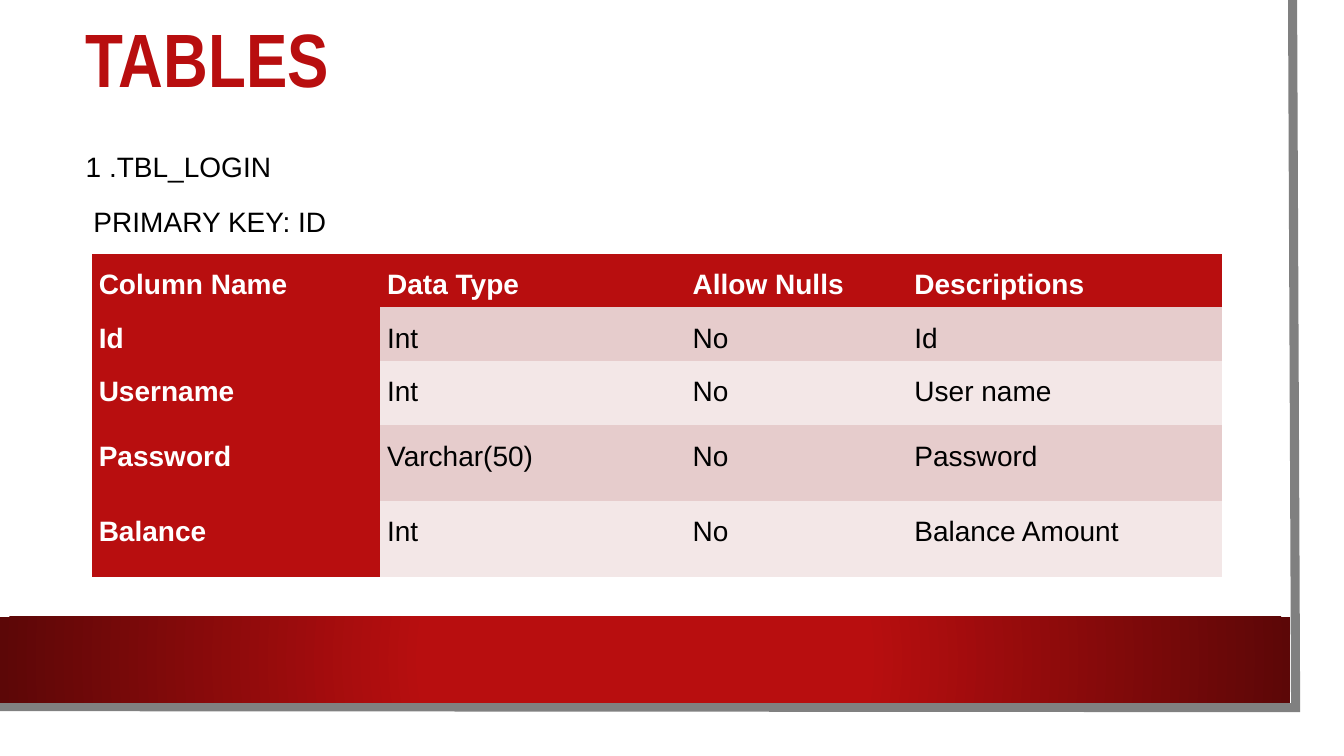
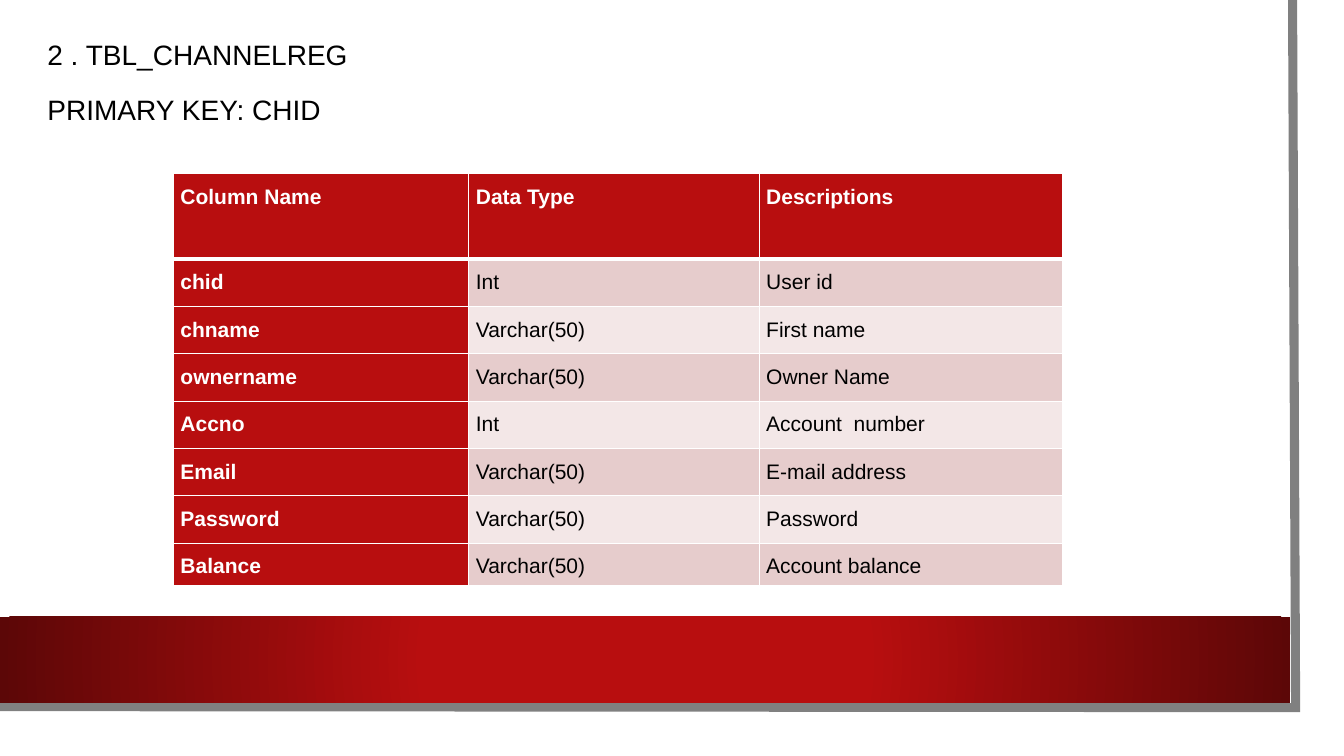
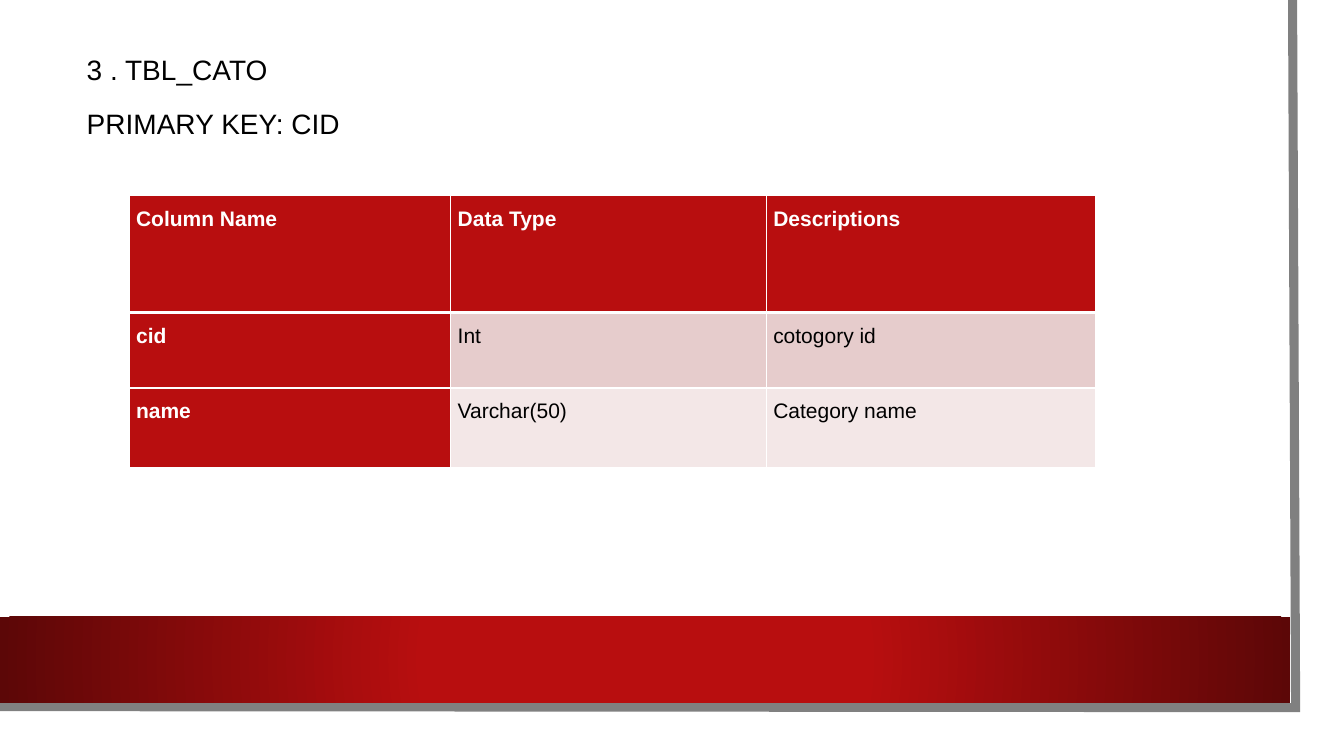
import pptx
import pptx.dml.color
import pptx.enum.shapes
import pptx.enum.text
import pptx.oxml
import pptx.oxml.ns
import pptx.util

Inches = pptx.util.Inches
Pt = pptx.util.Pt
ALIGN = pptx.enum.text.PP_ALIGN
ANCHOR = pptx.enum.text.MSO_ANCHOR

RED = "B80E0F"
DARK_RED = "5C0707"
WHITE = "FFFFFF"
BLACK = "000000"
GREY = "808080"
BANDS = ("E6CCCC", "F3E7E7")
PLAIN_TABLE = "{2D5ABB26-0587-4C30-8999-92F81FD0307C}"

LOGIN = [
    ("Column Name", "Data Type", "Allow Nulls", "Descriptions"),
    ("Id", "Int", "No", "Id "),
    ("Username", "Int", "No", "User name"),
    ("Password", "Varchar(50)", "No", "Password"),
    ("Balance", "Int", "No", "Balance Amount"),
]
CHANNELS = [
    ("Column Name", "Data Type", "Descriptions"),
    ("chid", "Int", "User id"),
    ("chname", "Varchar(50)", "First name"),
    ("ownername", "Varchar(50)", "Owner Name"),
    ("Accno", "Int", "Account  number"),
    ("Email", "Varchar(50)", "E-mail address"),
    ("Password", "Varchar(50)", "Password"),
    ("Balance", "Varchar(50)", "Account balance"),
]
CATEGORIES = [
    ("Column Name", "Data Type", "Descriptions"),
    ("cid", "Int", "cotogory id"),
    ("name", "Varchar(50)", "Category name"),
]


def color(value):
    return pptx.dml.color.RGBColor.from_string(value)


def xml(text):
    head, tail = text.split(" ", 1)
    return pptx.oxml.parse_xml(f"{head} {pptx.oxml.ns.nsdecls('a')} {tail}")


def style(paragraph, size, ink, bold=False, face="Arial"):
    for run in paragraph.runs:
        run.font.size = Pt(size)
        run.font.name = face
        run.font.bold = bold
        run.font.color.rgb = color(ink)


def place(shape, left, top, width, height):
    shape.left, shape.top = Inches(left), Inches(top)
    shape.width, shape.height = Inches(width), Inches(height)


def add_panel(slide, left, top, width, height):
    panel = slide.shapes.add_shape(
        pptx.enum.shapes.MSO_SHAPE.RECTANGLE,
        Inches(left), Inches(top), Inches(width), Inches(height))
    panel.shadow.inherit = False
    panel.fill.solid()
    panel.fill.fore_color.rgb = color(WHITE)
    panel.line.fill.background()
    return panel


def add_edge(slide):
    builder = slide.shapes.build_freeform(Inches(12.82), 0)
    corners = [(12.85, 7.02), (-0.03, 7.01)]
    builder.add_line_segments([(Inches(x), Inches(y)) for x, y in corners], close=False)
    edge = builder.convert_to_shape()
    edge.shadow.inherit = False
    edge.fill.background()
    edge.line.color.rgb = color(GREY)
    edge.line.width = Pt(6.5)
    edge.line._get_or_add_ln().append(xml('<a:miter lim="800000"/>'))
    return edge


def add_band(slide):
    band = add_panel(slide, 0, 6.12, 12.8, 0.85)
    stops = "".join(
        f'<a:gs pos="{pos}000"><a:srgbClr val="{value}"/></a:gs>'
        for pos, value in ((34, RED), (100, DARK_RED)))
    gradient = xml(
        f'<a:gradFill rotWithShape="1"><a:gsLst>{stops}</a:gsLst><a:path path="circle">'
        '<a:fillToRect l="50000" t="50000" r="50000" b="50000"/></a:path></a:gradFill>')
    properties = band.element.spPr
    properties.replace(properties.find(pptx.oxml.ns.qn("a:solidFill")), gradient)
    return band


def decorate_master(prs, slide):
    sheet = add_panel(slide, 0, 0, 13.1, 7.27)
    tree = prs.slide_master.shapes.element
    for index, part in enumerate((sheet, add_edge(slide), add_band(slide)), start=2):
        tree.insert(index, part.element)


def set_title(slide, text):
    title = slide.shapes.title
    if not text:
        title.element.getparent().remove(title.element)
        return
    place(title, 0.75, 0, 11.37, 1.26)
    title.text_frame.text = text
    title.text_frame.vertical_anchor = ANCHOR.MIDDLE
    heading = title.text_frame.paragraphs[0]
    heading.alignment = ALIGN.LEFT
    heading.line_spacing = 0.9
    style(heading, 54, RED, True, "Arial Narrow")


def set_caption(slide, lines, left, top):
    caption = slide.placeholders[1]
    place(caption, left, top, 11.37, 1.1)
    frame = caption.text_frame
    frame.text = "\n".join(lines)
    frame.vertical_anchor = ANCHOR.TOP
    for number, paragraph in enumerate(frame.paragraphs):
        properties = paragraph._p.get_or_add_pPr()
        properties.set("marL", "0")
        properties.set("indent", "0")
        properties.append(xml("<a:buNone />"))
        paragraph.line_spacing = 1.2
        paragraph.space_before = Pt(10 if number else 0)
        style(paragraph, 20, BLACK)


def set_borders(cell, header, below_header):
    properties = cell._tc.get_or_add_tcPr()
    widths = {"L": 1, "R": 1, "T": 3 if below_header else 1, "B": 3 if header else 1}
    for index, (side, width) in enumerate(widths.items()):
        properties.insert(index, xml(
            f'<a:ln{side} w="{Pt(width)}"><a:solidFill>'
            f'<a:srgbClr val="{WHITE}"/></a:solidFill></a:ln{side}>'))


def add_grid(slide, left, top, widths, heights, rows, size, bordered=True):
    grid = slide.shapes.add_table(
        len(rows), len(widths), Inches(left), Inches(top),
        Inches(sum(widths)), Inches(sum(heights))).table
    grid._tbl.tblPr.find(pptx.oxml.ns.qn("a:tableStyleId")).text = PLAIN_TABLE
    for column, width in zip(grid.columns, widths):
        column.width = Inches(width)
    for r, (height, values) in enumerate(zip(heights, rows)):
        grid.rows[r].height = Inches(height)
        for c, value in enumerate(values):
            cell = grid.cell(r, c)
            strong = r == 0 or c == 0
            cell.text_frame.text = value
            cell.margin_left = cell.margin_right = Inches(0.07)
            cell.margin_top = cell.margin_bottom = 0
            paragraph = cell.text_frame.paragraphs[0]
            paragraph.alignment = ALIGN.JUSTIFY
            paragraph.line_spacing = 1.5
            style(paragraph, size, WHITE if strong else BLACK, strong)
            cell.fill.solid()
            cell.fill.fore_color.rgb = color(RED if strong else BANDS[(r - 1) % 2])
            if bordered:
                set_borders(cell, r == 0, r == 1)


def add_page(prs, caption, left, top, title=None):
    slide = prs.slides.add_slide(prs.slide_layouts[1])
    set_title(slide, title)
    set_caption(slide, caption, left, top)
    return slide


def main():
    prs = pptx.Presentation()
    prs.slide_width, prs.slide_height = Inches(13.33), Inches(7.5)

    login = add_page(prs, ["1 .TBL_LOGIN", " PRIMARY KEY: ID"], 0.75, 1.37, "TABLES")
    decorate_master(prs, login)
    add_grid(login, 0.91, 2.52, [2.86, 3.03, 2.2, 3.12],
             [0.53, 0.53, 0.64, 0.75, 0.75], LOGIN, 20, bordered=False)

    channels = add_page(prs, ["2 . TBL_CHANNELREG", "PRIMARY KEY: CHID"], 0.37, 0.26)
    add_grid(channels, 1.72, 1.72, [2.93, 2.88, 3.01],
             [0.85] + [0.47] * 6 + [0.42], CHANNELS, 15)

    categories = add_page(prs, ["3 . TBL_CATO", "PRIMARY KEY: CID"], 0.76, 0.4)
    add_grid(categories, 1.28, 1.94, [3.19, 3.13, 3.27],
             [1.16, 0.75, 0.79], CATEGORIES, 15)

    prs.save("out.pptx")


if __name__ == "__main__":
    main()
